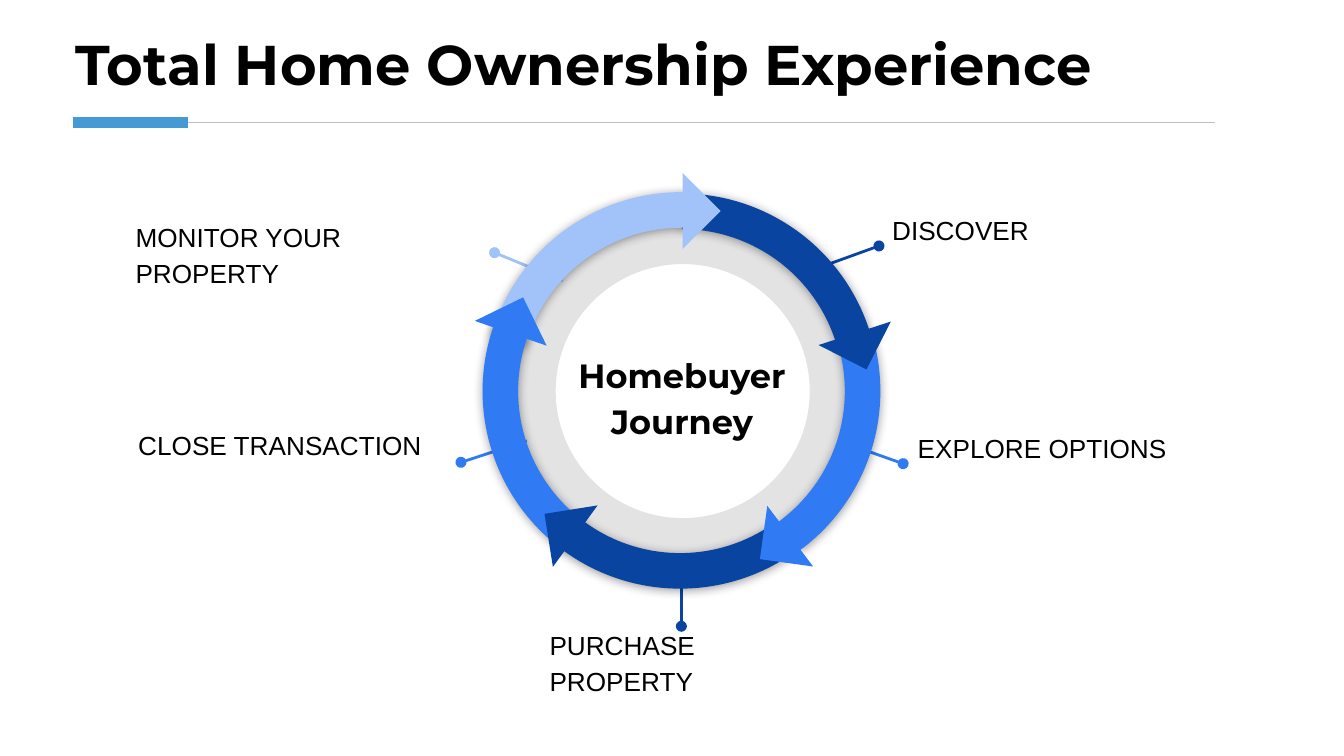
from lxml.etree import SubElement as Sub
from pptx import Presentation
from pptx.dml.color import RGBColor as RGB
from pptx.enum.shapes import MSO_CONNECTOR as LINE, MSO_SHAPE as SHAPE
from pptx.enum.text import MSO_ANCHOR as ANCHOR, PP_ALIGN as ALIGN
from pptx.oxml.ns import qn
from pptx.util import Inches, Pt

HUES = {
    "navy": "0944A1", "blue": "307BF3", "pale": "A1C3FA", "sky": "4599D4",
    "rule": "BFBFBF", "black": "000000", "ink": "020202",
}

# label, line colour, dot, line end, text box
STEPS = [
    ("DISCOVER", "navy", (6.54, 1.83), (5.96, 2.04), (6.54, 1.46, 2.46, 0.73)),
    ("MONITOR YOUR PROPERTY", "pale", (3.68, 1.88), (4.19, 2.09), (0.91, 1.51, 2.78, 0.73)),
    ("EXPLORE OPTIONS", "blue", (6.72, 3.45), (6.24, 3.28), (6.73, 3.08, 2.6, 1.04)),
    ("CLOSE TRANSACTION", "blue", (3.43, 3.44), (3.92, 3.28), (0.93, 3.06, 2.49, 1.38)),
    ("PURCHASE PROPERTY", "navy", (5.07, 4.66), (5.07, 4.12), (3.99, 4.55, 2.38, 1.06)),
]

# colour, left, top, turn, flipped, start angle, end angle, thickness
ARCS = [
    ("navy", 3.6, 1.44, 30, False, 240.24, 316.64, 0.09),
    ("blue", 3.61, 1.44, 210, True, 336.31, 43.73, 0.09),
    ("pale", 3.6, 1.43, 330, True, 238.9, 314.25, 0.09),
    ("blue", 3.59, 1.44, 150, False, 336.41, 50.12, 0.09),
    ("navy", 3.59, 1.44, 210, True, 262.31, 333.47, 0.09),
]

# colour, left, top, turn
TIPS = [
    ("navy", 6.16, 2.28, 297),
    ("blue", 3.6, 2.28, 154),
    ("blue", 5.68, 3.79, 7.9),
    ("navy", 4.08, 3.79, 81),
    ("pale", 4.88, 1.37, 225),
]


class Deck:
    """Holds the style and the slide being filled."""

    def __init__(self, slide):
        self.slide = slide
        self.font = "Arial"
        self.bold = "Montserrat"

    def hue(self, name):
        return RGB.from_string(HUES[name])

    def shape(self, kind, box, hue, turn=0):
        item = self.slide.shapes.add_shape(kind, *map(Inches, box))
        item.shadow.inherit = False
        item.fill.solid()
        item.fill.fore_color.rgb = self.hue(hue)
        item.line.fill.background()
        item.rotation = turn
        return item

    def ring(self, box, hue, thick, alpha):
        item = self.shape(SHAPE.DONUT, box, hue)
        item.adjustments[0] = thick
        tint = item._element.spPr.find(qn("a:solidFill"))[0]
        Sub(tint, qn("a:alpha"), val=str(alpha * 1000))

    def arc(self, hue, left, top, turn, flip, start, end, thick):
        item = self.shape(SHAPE.BLOCK_ARC, (left, top, 2.94, 2.94), hue, turn)
        # Angles are stored in 60000ths of a degree, adjustments in 100000ths.
        for i, value in enumerate((start * 0.6, end * 0.6, thick)):
            item.adjustments[i] = value
        props = item._element.spPr
        if flip:
            props.find(qn("a:xfrm")).set("flipH", "1")
        glow = Sub(props.find(qn("a:effectLst")), qn("a:outerShdw"),
                   blurRad=str(Pt(5.6)), dist=str(Pt(0.8)), dir="5400000",
                   algn="bl", rotWithShape="0")
        tint = Sub(glow, qn("a:srgbClr"), val=HUES["black"])
        Sub(tint, qn("a:alpha"), val="40000")

    def line(self, start, end, hue, width, dot=False):
        item = self.slide.shapes.add_connector(
            LINE.STRAIGHT, *map(Inches, start + end))
        item.line.color.rgb = self.hue(hue)
        item.line.width = Pt(width)
        props = item._element.spPr
        if dot:
            Sub(props.find(qn("a:ln")), qn("a:headEnd"), type="oval")
        Sub(props, qn("a:effectLst"))

    def text(self, words, box, size=14, hue="black", bold=False, space=1.15,
             pad=(0.1, 0.1), align=ALIGN.LEFT, anchor=ANCHOR.TOP):
        frame = self.slide.shapes.add_textbox(*map(Inches, box)).text_frame
        frame.word_wrap = True
        frame.vertical_anchor = anchor
        frame.margin_left = frame.margin_right = Inches(pad[0])
        frame.margin_top = frame.margin_bottom = Inches(pad[1])
        para = frame.paragraphs[0]
        para.text = words
        para.alignment = align
        para.line_spacing = space
        para.font.name = self.bold if bold else self.font
        para.font.size = Pt(size)
        para.font.bold = bold
        para.font.color.rgb = self.hue(hue)


def main():
    show = Presentation()
    show.slide_width = Inches(10)
    show.slide_height = Inches(10) * 9 // 16
    deck = Deck(show.slides.add_slide(show.slide_layouts[6]))

    deck.ring((3.69, 1.52, 2.78, 2.78), "black", 0.16, 11)
    for label, hue, dot, end, box in STEPS:
        deck.line(dot, end, hue, 1.5, dot=True)
        deck.text(label, box)
    for arc in ARCS:
        deck.arc(*arc)
    for hue, left, top, turn in TIPS:
        deck.shape(SHAPE.RIGHT_TRIANGLE, (left, top, 0.4, 0.4), hue, turn)
    deck.text("Homebuyer Journey", (4.16, 2.5, 1.83, 0.88), 18, "ink", True,
              align=ALIGN.CENTER, anchor=ANCHOR.MIDDLE)

    deck.line((0.71, 0.91), (9.04, 0.91), "rule", 0.75)
    deck.line((0.54, 0.91), (1.4, 0.91), "sky", 6)
    deck.text("Total Home Ownership Experience", (0.48, 0.18, 8.56, 0.63), 30,
              bold=True, space=1.0, pad=(0.08, 0.04))
    show.save("out.pptx")


if __name__ == "__main__":
    main()
